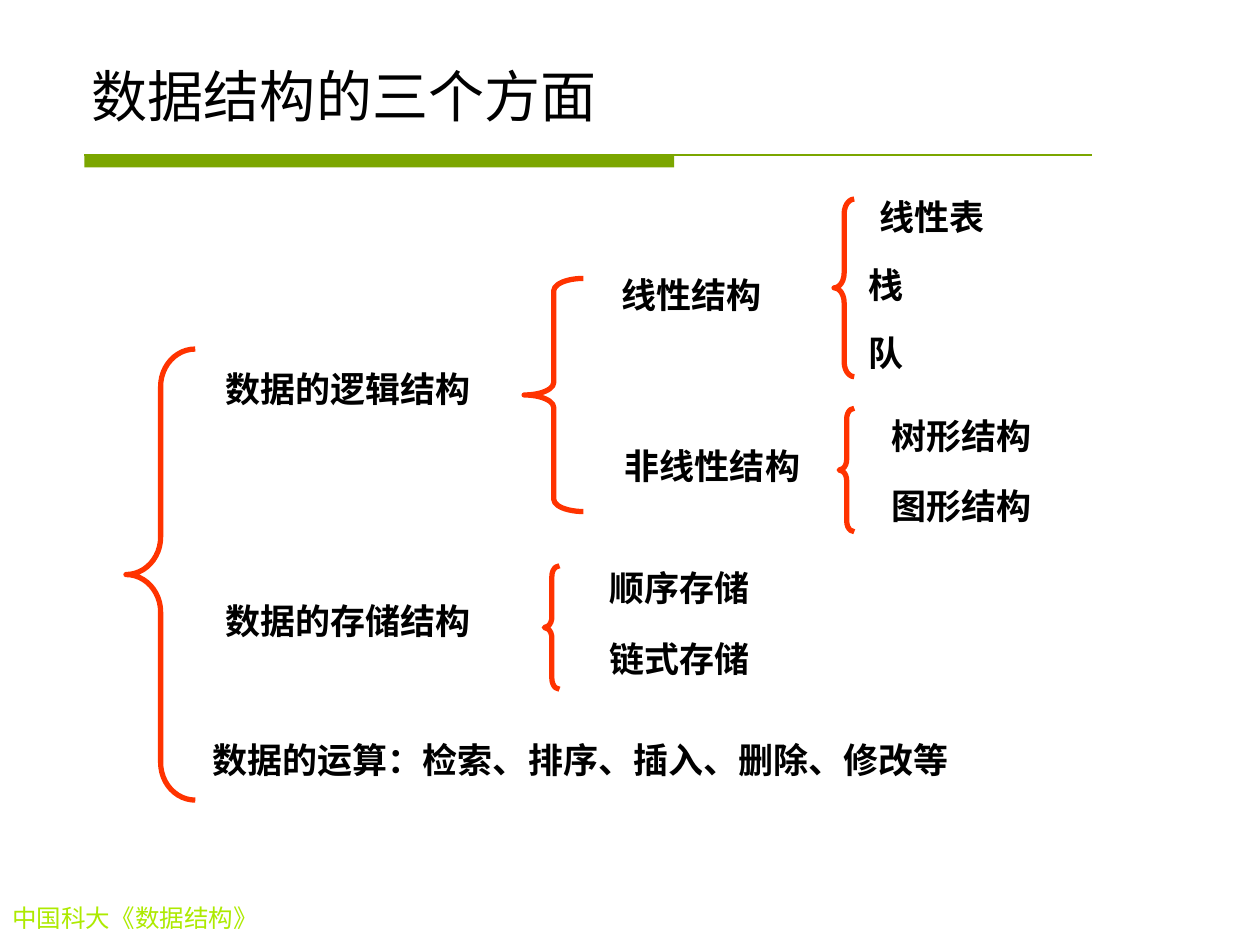
from dataclasses import dataclass

from pptx import Presentation
from pptx.dml.color import RGBColor
from pptx.enum.shapes import MSO_CONNECTOR, MSO_SHAPE
from pptx.enum.text import MSO_ANCHOR, MSO_AUTO_SIZE, PP_ALIGN
from pptx.util import Inches, Pt
from lxml import etree


@dataclass(frozen=True)
class Theme:
    black: RGBColor = RGBColor(0x00, 0x00, 0x00)
    rule: RGBColor = RGBColor(0x7B, 0xA6, 0x00)
    footer: RGBColor = RGBColor(0xAD, 0xEA, 0x00)
    brace: RGBColor = RGBColor(0xFF, 0x33, 0x00)
    title_font: str = "Arial"
    body_font: str = "Times New Roman"
    title_size: Pt = Pt(32)
    label_size: Pt = Pt(20)
    footer_size: Pt = Pt(14)
    rule_width: Pt = Pt(0.75)
    brace_width: Pt = Pt(3)


theme = Theme()


def style_text(paragraph, font, size, color, bold=False, align=PP_ALIGN.LEFT):
    paragraph.alignment = align
    for run in paragraph.runs:
        run.font.name = font
        run.font.size = size
        run.font.bold = bold
        run.font.color.rgb = color


def add_text(text, left, top, width, height):
    frame = slide.shapes.add_textbox(
        Inches(left), Inches(top), Inches(width), Inches(height)).text_frame
    frame.text = text
    return frame


prs = Presentation()
prs.slide_width, prs.slide_height = Inches(10), Inches(7.5)
slide = prs.slides.add_slide(prs.slide_layouts[5])

# Title
title = slide.shapes.title
title.left, title.top = Inches(0.63), Inches(0.33)
title.width, title.height = Inches(8.75), Inches(0.74)
title.text_frame.text = "数据结构的三个方面"
title.text_frame.auto_size = MSO_AUTO_SIZE.NONE
title.text_frame.vertical_anchor = MSO_ANCHOR.BOTTOM
style_text(title.text_frame.paragraphs[0], theme.title_font,
           theme.title_size, theme.black)

# Thick bar and thin rule under the title
bar = slide.shapes.add_shape(
    MSO_SHAPE.RECTANGLE, Inches(0.67), Inches(1.23), Inches(4.68), Inches(0.1))
bar.shadow.inherit = False
bar.fill.solid()
bar.fill.fore_color.rgb = theme.rule
bar.line.fill.background()

rule = slide.shapes.add_connector(
    MSO_CONNECTOR.STRAIGHT, Inches(0.67), Inches(1.23), Inches(8.67), Inches(1.23))
rule.line.color.rgb = theme.rule
rule.line.width = theme.rule_width
drawing_ns = "http://schemas.openxmlformats.org/drawingml/2006/main"
etree.SubElement(rule._element.spPr, f"{{{drawing_ns}}}effectLst")

# Footer
footer = add_text("中国科大《数据结构》", 0, 7.12, 3.11, 0.34)
footer.word_wrap = True
style_text(footer.paragraphs[0], theme.body_font, theme.footer_size, theme.footer)

# Braces: left, top, width, height, curve radius relative to the width
braces = [
    (1.00, 2.77, 0.55, 3.58, 0.54),  # three aspects
    (4.16, 2.21, 0.47, 1.85, 0.21),  # logical structure
    (4.32, 4.49, 0.12, 0.98, 0.70),  # storage structure
    (6.62, 1.58, 0.16, 1.41, 0.74),  # linear structure
    (6.66, 3.24, 0.12, 0.98, 0.70),  # non-linear structure
]
for left, top, width, height, curve in braces:
    brace = slide.shapes.add_shape(
        MSO_SHAPE.LEFT_BRACE,
        Inches(left), Inches(top), Inches(width), Inches(height))
    brace.adjustments[0] = curve
    brace.shadow.inherit = False
    brace.fill.background()
    brace.line.color.rgb = theme.brace
    brace.line.width = theme.brace_width

# Labels: text, left, top, width
labels = [
    ("数据的逻辑结构", 1.55, 2.87, 2.42),
    ("数据的存储结构", 1.55, 4.71, 2.42),
    ("数据的运算：检索、排序、插入、删除、修改等", 1.51, 5.81, 6.20),
    ("线性结构", 4.69, 2.12, 1.59),
    ("非线性结构", 4.79, 3.48, 1.73),
    ("顺序存储", 4.67, 4.45, 1.45),
    ("链式存储", 4.67, 5.01, 1.45),
    ("线性表", 6.80, 1.50, 1.20),
    ("栈", 6.73, 2.04, 0.60),
    ("队", 6.73, 2.58, 0.60),
    ("树形结构", 6.88, 3.24, 1.50),
    ("图形结构", 6.88, 3.80, 1.50),
]
for text, left, top, width in labels:
    label = add_text(text, left, top, width, 0.44)
    label.word_wrap = False
    label.auto_size = MSO_AUTO_SIZE.SHAPE_TO_FIT_TEXT
    style_text(label.paragraphs[0], theme.body_font, theme.label_size,
               theme.black, bold=True, align=PP_ALIGN.CENTER)

prs.save("out.pptx")
